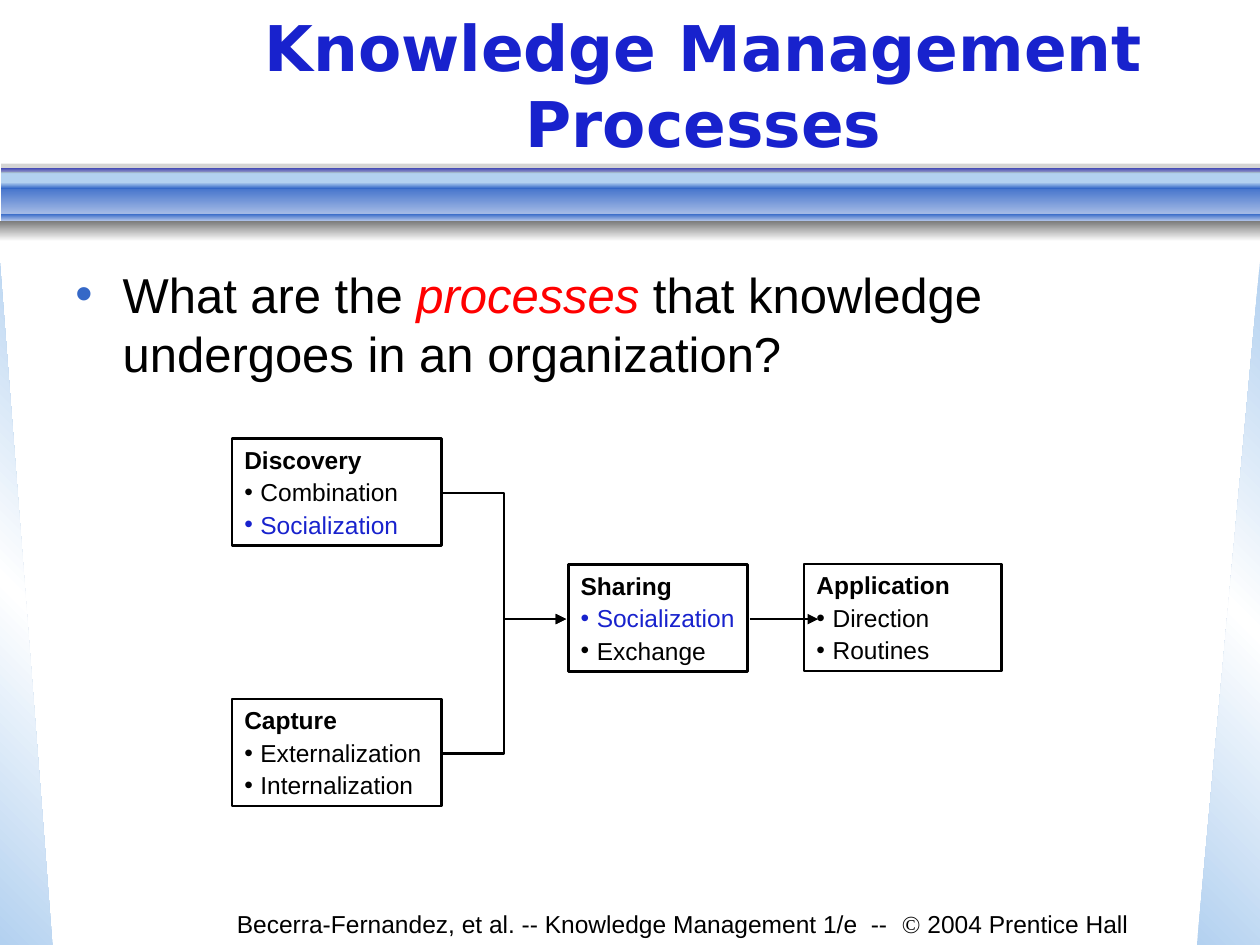
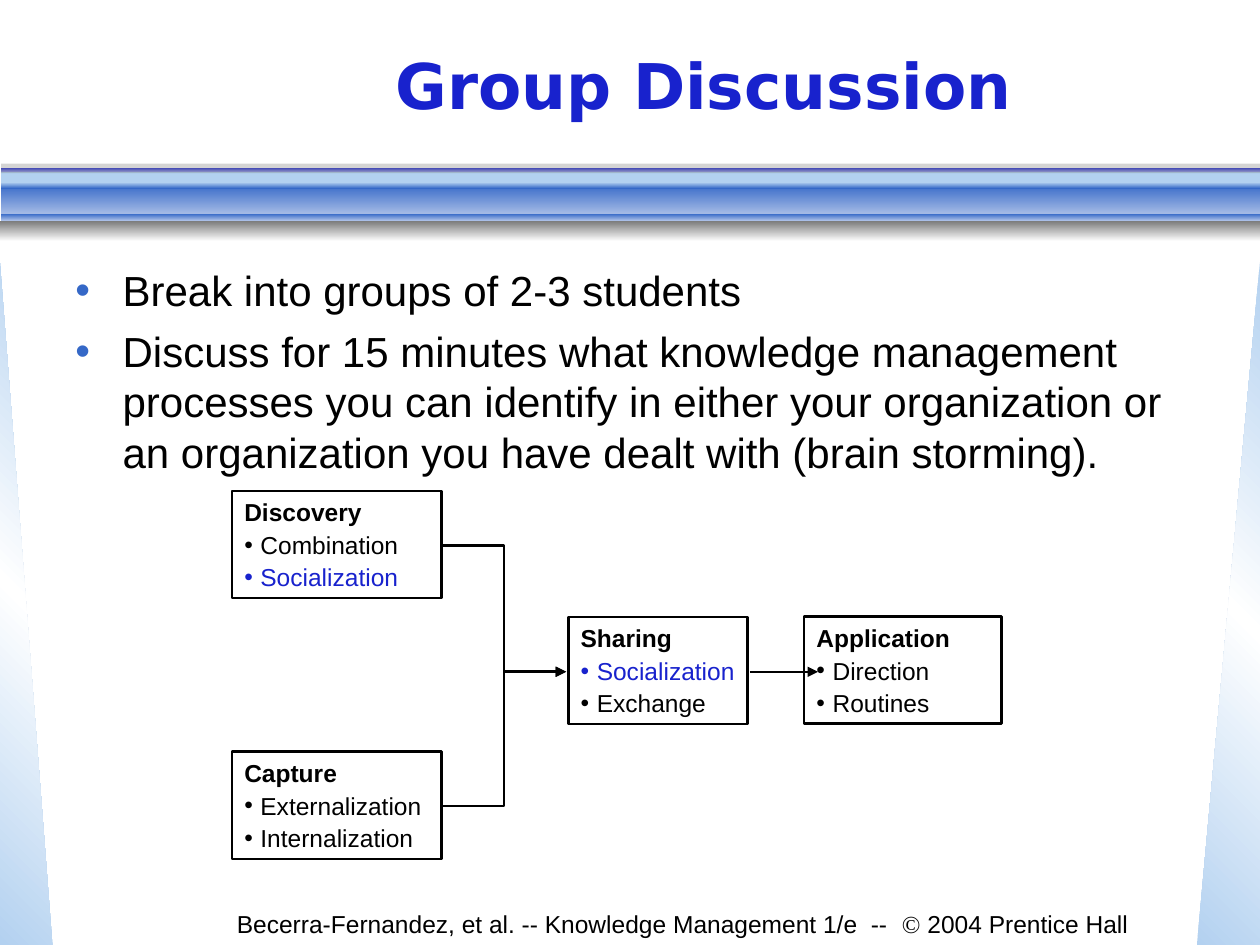
"""Build two knowledge management slides that share one process diagram."""
from dataclasses import dataclass
from typing import Any

from lxml import etree
from pptx import Presentation
from pptx.dml.color import RGBColor
from pptx.enum.shapes import MSO_CONNECTOR, MSO_SHAPE
from pptx.enum.text import MSO_ANCHOR, MSO_AUTO_SIZE, PP_ALIGN
from pptx.oxml.ns import qn
from pptx.util import Pt

RECTANGLE, TRIANGLE = MSO_SHAPE.RECTANGLE, MSO_SHAPE.RIGHT_TRIANGLE
STRAIGHT, ELBOW = MSO_CONNECTOR.STRAIGHT, MSO_CONNECTOR.ELBOW
TOP, MIDDLE = MSO_ANCHOR.TOP, MSO_ANCHOR.MIDDLE
LEFT, CENTER = PP_ALIGN.LEFT, PP_ALIGN.CENTER
GROW, FIXED = MSO_AUTO_SIZE.SHAPE_TO_FIT_TEXT, MSO_AUTO_SIZE.NONE

WIDTH, HEIGHT = 720, 540
BLACK, WHITE, RED, GRAY = "000000", "FFFFFF", "FF0000", "777777"
NAVY, BLUE, PALE, SKY, LILAC = "1822CD", "3568C7", "A9BEE7", "B3D1F0", "878DE5"
BODY_FONT, TITLE_FONT, SYMBOL_FONT = "Arial", "DejaVu Sans", "Times New Roman"
BOX_HEIGHT = 61.2


@dataclass(frozen=True)
class Band:
    """One horizontal strip of the header, with its colours from top to bottom."""
    left: float
    top: float
    height: float
    colors: tuple[str, ...]
    opacity: int = 100


@dataclass(frozen=True)
class Wedge:
    """One tinted triangle at a side of the slide."""
    left: float
    width: float
    angle: int
    mirrored: bool


@dataclass(frozen=True)
class Run:
    """A stretch of text and what sets it apart."""
    text: str
    color: str = BLACK
    font: str = BODY_FONT
    bold: bool = False
    italic: bool = False


@dataclass(frozen=True)
class Process:
    """A process box, placed relative to the top of the diagram."""
    name: str
    left: float
    drop: float
    width: float
    methods: tuple[str, ...]
    wrap: bool = True


@dataclass(frozen=True)
class Arrow:
    """An arrow, placed relative to the top of the diagram."""
    kind: Any
    start: tuple[float, float]
    end: tuple[float, float]


@dataclass(frozen=True)
class Topic:
    """What differs from slide to slide."""
    title: str
    points: tuple[tuple[Run, ...], ...]
    size: float
    space: float
    body_height: float
    diagram_top: float


BANDS = (
    Band(0.75, 98, 7, (SKY,)),
    Band(0.75, 105, 18, (BLUE, PALE)),
    Band(0.75, 95.75, 2.25, (NAVY, LILAC)),
    Band(0.75, 122.25, 3.75, (BLUE, PALE)),
    Band(0.75, 104.25, 3.5, (SKY, BLUE)),
    Band(0, 126, 12, (GRAY, WHITE)),
    Band(0.75, 93.5, 5.5, (GRAY,), 31),
)
WEDGES = (Wedge(0, 30, 315, False), Wedge(684, 36, 45, True))
FOOTER = (
    Run("Becerra-Fernandez, et al. -- Knowledge Management 1/e  --  "),
    Run("©", font=SYMBOL_FONT),
    Run(" 2004 Prentice Hall"),
)
SHARED_METHOD = "Socialization"
PROCESSES = (
    Process("Capture", 132.5, 149, 120, ("Externalization", "Internalization")),
    Process("Sharing", 324.7, 72, 102.3, (SHARED_METHOD, "Exchange"), False),
    Process("Application", 459.5, 71.8, 113, ("Direction", "Routines"), False),
    Process("Discovery", 132.5, 0, 120, ("Combination", SHARED_METHOD)),
)
ARROWS = (
    Arrow(ELBOW, (252.5, 180), (323.5, 103.3)),
    Arrow(ELBOW, (252.5, 31.3), (323.5, 103.3)),
    Arrow(STRAIGHT, (428.5, 103.3), (467.5, 103.3)),
)
TOPICS = (
    Topic(
        "Knowledge Management Processes",
        ((
            Run("What are the "),
            Run("processes ", RED, italic=True),
            Run("that knowledge undergoes in an organization?"),
        ),),
        28, 7, 86.4, 250.5,
    ),
    Topic(
        "Group Discussion",
        (
            (Run("Break into groups of 2-3 students"),),
            (Run("Discuss for 15 minutes what knowledge management processes "
                 "you can identify in either your organization or an "
                 "organization you have dealt with (brain storming)."),),
        ),
        24, 6, 164, 280.6,
    ),
)


def rgb(color: str) -> RGBColor:
    """Turn a hex string into a colour."""
    return RGBColor.from_string(color)


def paint(shape: Any, colors: tuple[str, ...], angle: int = 90, opacity: int = 100) -> None:
    """Fill a shape with one colour or an even gradient, without outline or shadow."""
    shape.shadow.inherit = False
    shape.line.fill.background()
    if len(colors) == 1:
        shape.fill.solid()
        shape.fill.fore_color.rgb = rgb(colors[0])
        if opacity < 100:
            tint = next(shape.fill._xPr.iter(qn("a:srgbClr")))
            etree.SubElement(tint, qn("a:alpha"), val=str(opacity * 1000))
        return
    shape.fill.gradient()
    shape.fill.gradient_angle = 360 - angle
    stops = next(shape._element.iter(qn("a:gsLst")))
    for stop in list(stops):
        stops.remove(stop)
    for index, color in enumerate(colors):
        position = index * 100000 // (len(colors) - 1)
        stop = etree.SubElement(stops, qn("a:gs"), pos=str(position))
        etree.SubElement(stop, qn("a:srgbClr"), val=color)


def add_bullet(paragraph: Any, color: str) -> None:
    """Give a paragraph a round bullet in a colour."""
    properties = paragraph._p.get_or_add_pPr()
    tint = etree.SubElement(properties, qn("a:buClr"))
    etree.SubElement(tint, qn("a:srgbClr"), val=color)
    etree.SubElement(properties, qn("a:buFont"), typeface=BODY_FONT)
    etree.SubElement(properties, qn("a:buChar"), char="•")


def write(shape: Any, paragraphs: tuple[tuple[Run, ...], ...], *, size: float,
          align: Any = LEFT, anchor: Any = TOP, indent: float = 0,
          before: float = 0, after: float = 0, wrap: bool = True,
          fit: Any = FIXED, bullets: tuple[str | None, ...] = ()) -> None:
    """Write paragraphs of runs into a shape, with a bullet colour for each."""
    frame = shape.text_frame
    frame.word_wrap = wrap
    frame.auto_size = fit
    frame.vertical_anchor = anchor
    for index, runs in enumerate(paragraphs):
        paragraph = frame.paragraphs[0] if index == 0 else frame.add_paragraph()
        paragraph.alignment = align
        paragraph.space_after = Pt(after)
        if index:
            paragraph.space_before = Pt(before)
        if indent:
            properties = paragraph._p.get_or_add_pPr()
            properties.set("marL", str(Pt(indent)))
            properties.set("indent", str(Pt(-indent)))
        if bullets and bullets[index]:
            add_bullet(paragraph, bullets[index])
        for part in runs:
            run = paragraph.add_run()
            run.text = part.text
            run.font.size = Pt(size)
            run.font.name = part.font
            run.font.bold = part.bold
            run.font.italic = part.italic
            run.font.color.rgb = rgb(part.color)


def add_text(slide: Any, left: float, top: float, width: float, height: float,
             paragraphs: tuple[tuple[Run, ...], ...], **style: Any) -> None:
    """Add a text box and write into it."""
    box = slide.shapes.add_textbox(Pt(left), Pt(top), Pt(width), Pt(height))
    write(box, paragraphs, **style)


def draw_backdrop(slide: Any) -> None:
    """Draw the side wedges and the header bands."""
    for wedge in WEDGES:
        side = slide.shapes.add_shape(
            TRIANGLE, Pt(wedge.left), Pt(150), Pt(wedge.width), Pt(HEIGHT - 150))
        paint(side, (SKY, WHITE, SKY), wedge.angle)
        if wedge.mirrored:
            side._element.spPr.xfrm.set("flipH", "1")
    for band in BANDS:
        strip = slide.shapes.add_shape(
            RECTANGLE, Pt(band.left), Pt(band.top),
            Pt(WIDTH - band.left), Pt(band.height))
        paint(strip, band.colors, opacity=band.opacity)


def draw_process(slide: Any, process: Process, diagram_top: float) -> None:
    """Draw one process box with its methods."""
    box = slide.shapes.add_shape(
        RECTANGLE, Pt(process.left), Pt(diagram_top + process.drop),
        Pt(process.width), Pt(BOX_HEIGHT))
    box.shadow.inherit = False
    box.fill.background()
    box.line.color.rgb = rgb(BLACK)
    box.line.width = Pt(1.5)
    colors = tuple(NAVY if method == SHARED_METHOD else BLACK
                   for method in process.methods)
    methods = tuple((Run(method, color),)
                    for method, color in zip(process.methods, colors))
    write(box, ((Run(process.name, bold=True),), *methods), size=14, indent=9.2,
          before=0.9, after=0.9, wrap=process.wrap, fit=GROW,
          bullets=(None, *colors))


def draw_arrow(slide: Any, arrow: Arrow, diagram_top: float) -> None:
    """Draw one arrow between processes."""
    (x1, y1), (x2, y2) = arrow.start, arrow.end
    link = slide.shapes.add_connector(
        arrow.kind, Pt(x1), Pt(diagram_top + y1), Pt(x2), Pt(diagram_top + y2))
    link.line.color.rgb = rgb(BLACK)
    link.line.width = Pt(1.5)
    etree.SubElement(link.line._get_or_add_ln(), qn("a:tailEnd"), type="triangle")
    etree.SubElement(link._element.spPr, qn("a:effectLst"))


def build_slide(deck: Any, topic: Topic) -> None:
    """Build one slide from its topic."""
    slide = deck.slides.add_slide(deck.slide_layouts[6])
    draw_backdrop(slide)
    add_text(slide, 108, 516, 564, 24, (FOOTER,), size=14, align=CENTER)
    for process in PROCESSES:
        draw_process(slide, process, topic.diagram_top)
    for arrow in ARROWS:
        draw_arrow(slide, arrow, topic.diagram_top)
    add_text(slide, 90, 6, 624, 84, ((Run(topic.title, NAVY, TITLE_FONT, True),),),
             size=36, align=CENTER, anchor=MIDDLE)
    add_text(slide, 36, 147.6, 648, topic.body_height, topic.points, size=topic.size,
             indent=27, before=topic.space, bullets=(BLUE,) * len(topic.points))


def main() -> None:
    """Build and save the slides."""
    deck = Presentation()
    deck.slide_width, deck.slide_height = Pt(WIDTH), Pt(HEIGHT)
    for topic in TOPICS:
        build_slide(deck, topic)
    deck.save("out.pptx")


if __name__ == "__main__":
    main()
